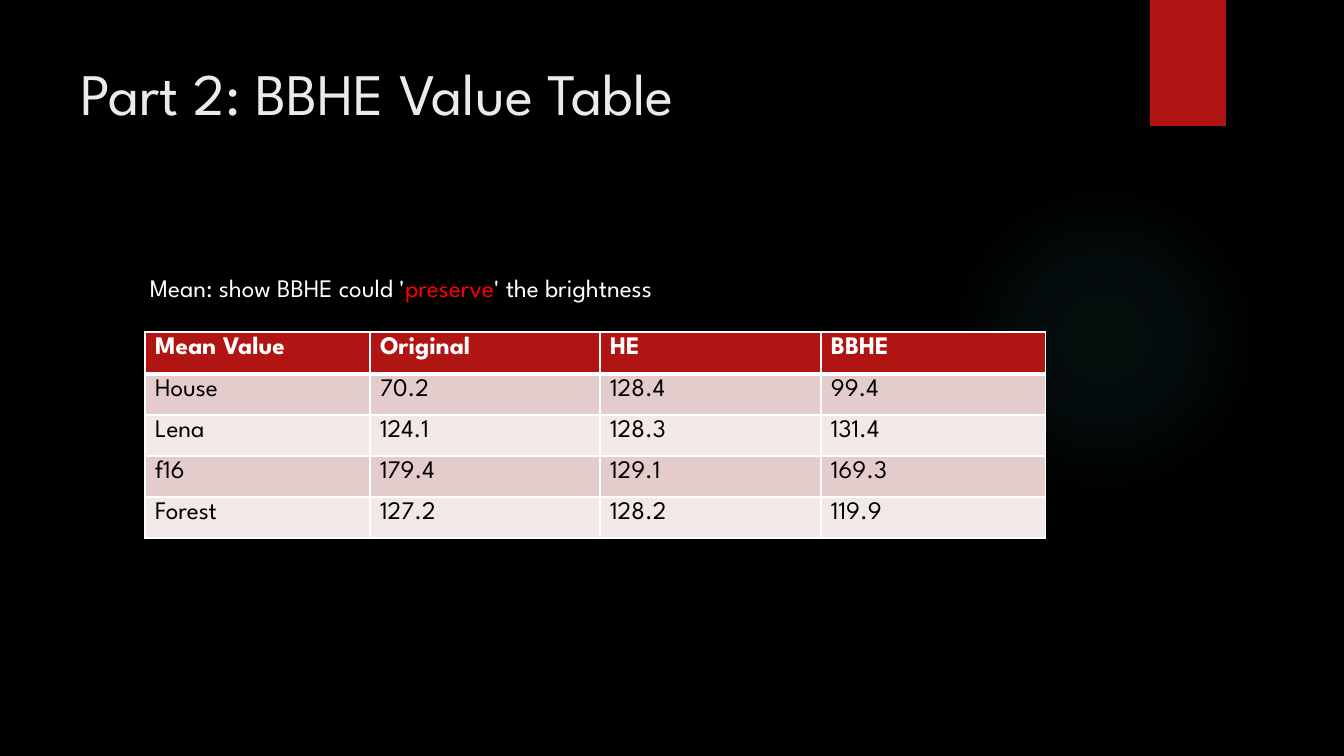
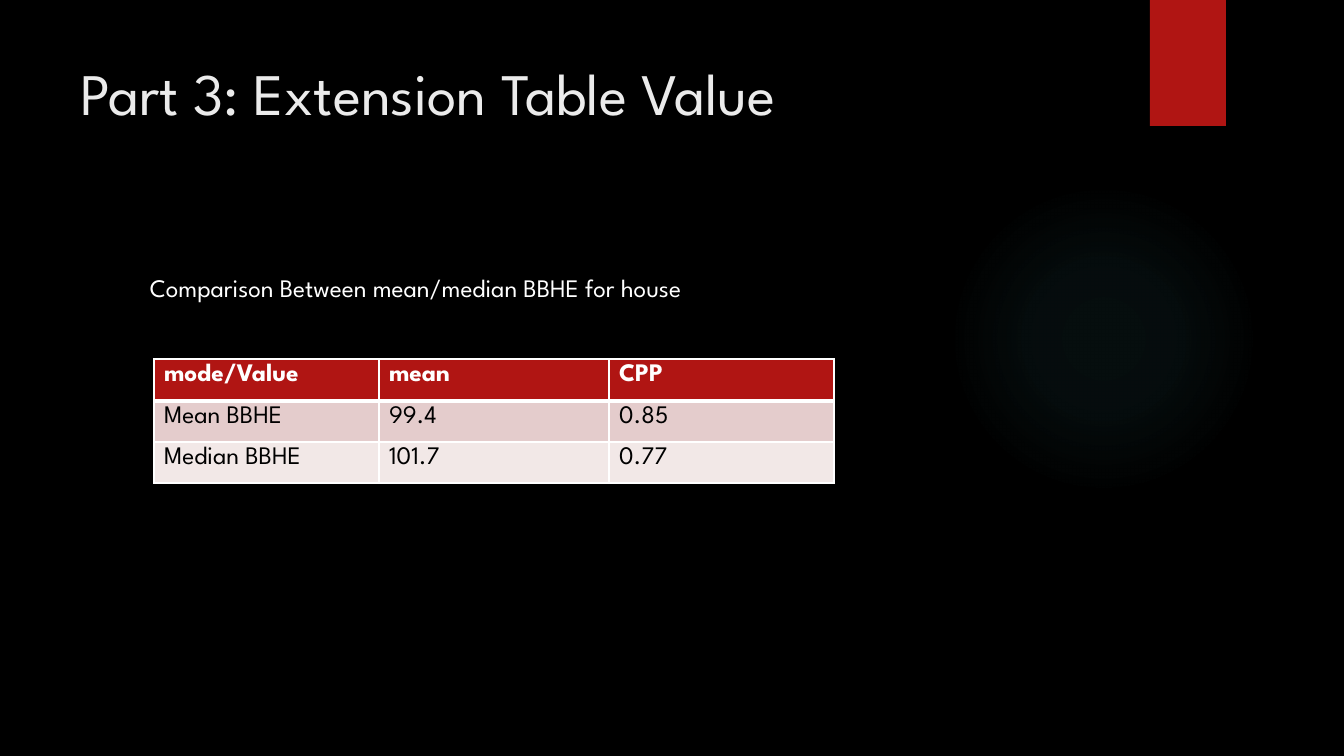
"""Builds two dark slides, each with a title, a caption and a table of values."""
from dataclasses import dataclass

from lxml.etree import SubElement
from pptx import Presentation
from pptx.dml.color import RGBColor
from pptx.enum.shapes import MSO_SHAPE as Shape
from pptx.enum.text import MSO_ANCHOR as Anchor, PP_ALIGN as Align
from pptx.oxml.ns import qn
from pptx.util import Emu, Pt

EMU_PER_INCH = 914400
PX_PER_INCH = 100.8
WIDTH, HEIGHT = 1344, 756
FONT = "League Spartan"
BLACK = RGBColor(0x00, 0x00, 0x00)
WHITE = RGBColor(0xFF, 0xFF, 0xFF)
PALE = RGBColor(0xEB, 0xEB, 0xEB)
BRICK = RGBColor(0xB0, 0x15, 0x13)
RED = RGBColor(0xFF, 0x00, 0x00)
TEAL = RGBColor(0x50, 0xB9, 0xC1)
ROW_FILLS = (RGBColor(0xF2, 0xE8, 0xE7), RGBColor(0xE4, 0xCC, 0xCC))
GLOW_STOPS = ((0, 7), (36, 6), (69, 0))
HEADER_HEIGHT, ROW_HEIGHT = 42, 41


@dataclass(frozen=True)
class TextPart:
    text: str
    color: RGBColor = WHITE


@dataclass(frozen=True)
class ValueTable:
    left: int
    top: int
    widths: tuple[int, ...]
    rows: tuple[tuple[str, ...], ...]


@dataclass(frozen=True)
class TableSlide:
    title: str
    caption: tuple[TextPart, ...]
    table: ValueTable


SLIDES = (
    TableSlide(
        "Part 2: BBHE Value Table",
        (
            TextPart("Mean: show BBHE could '"),
            TextPart("preserve", RED),
            TextPart("' the brightness"),
        ),
        ValueTable(145, 332, (225, 230, 221, 225), (
            ("Mean Value", "Original", "HE", "BBHE"),
            ("House", "70.2", "128.4", "99.4"),
            ("Lena", "124.1", "128.3", "131.4"),
            ("f16", "179.4", "129.1", "169.3"),
            ("Forest", "127.2", "128.2", "119.9"),
        )),
    ),
    TableSlide(
        "Part 3: Extension Table Value",
        (TextPart("Comparison Between mean/median BBHE for house"),),
        ValueTable(154, 359, (225, 230, 225), (
            ("mode/Value", "mean", "CPP"),
            ("Mean BBHE", "99.4", "0.85"),
            ("Median BBHE", "101.7", "0.77"),
        )),
    ),
)


def px(n: int) -> Emu:
    return Emu(round(n * EMU_PER_INCH / PX_PER_INCH))


def box(left: int, top: int, width: int, height: int) -> tuple[Emu, ...]:
    return px(left), px(top), px(width), px(height)


def add_text(p, text: str, *, size: int = 18, color: RGBColor = WHITE,
             bold: bool = False) -> None:
    r = p.add_run()
    r.text = text
    r.font.name = FONT
    r.font.size = Pt(size)
    r.font.bold = bold
    r.font.color.rgb = color


def add_plain_shape(s, kind: Shape, *bounds: int):
    sp = s.shapes.add_shape(kind, *box(*bounds))
    sp.shadow.inherit = False
    sp.line.fill.background()
    return sp


def add_glow(s) -> None:
    sp = add_plain_shape(s, Shape.OVAL, 949, 184, 310, 310)
    sp.fill.gradient()
    grad = sp.element.spPr.find(qn("a:gradFill"))
    for child in list(grad):
        grad.remove(child)
    stops = SubElement(grad, qn("a:gsLst"))
    for position, alpha in GLOW_STOPS:
        stop = SubElement(stops, qn("a:gs"), pos=str(position * 1000))
        color = SubElement(stop, qn("a:srgbClr"), val=str(TEAL))
        SubElement(color, qn("a:alpha"), val=str(alpha * 1000))
    circle = SubElement(grad, qn("a:path"), attrib={"path": "circle"})
    SubElement(circle, qn("a:fillToRect"), l="50000", t="50000", r="50000", b="50000")


def add_band(s) -> None:
    sp = add_plain_shape(s, Shape.RECTANGLE, 1150, 0, 76, 126)
    sp.fill.solid()
    sp.fill.fore_color.rgb = BRICK


def set_title(s, text: str) -> None:
    sp = s.shapes.title
    sp.left, sp.top, sp.width, sp.height = box(70, 50, 927, 82)
    tf = sp.text_frame
    tf.vertical_anchor = Anchor.BOTTOM
    p = tf.paragraphs[0]
    p.alignment = Align.LEFT
    add_text(p, text, size=42, color=PALE)


def add_caption(s, parts: tuple[TextPart, ...]) -> None:
    tf = s.shapes.add_textbox(*box(140, 268, 674, 40)).text_frame
    tf.word_wrap = True
    tf.vertical_anchor = Anchor.BOTTOM
    for part in parts:
        add_text(tf.paragraphs[0], part.text, color=part.color)


def set_borders(cell, row: int) -> None:
    widths = {
        "L": 1,
        "R": 1,
        "T": 3 if row == 1 else 1,
        "B": 3 if row == 0 else 1,
    }
    props = cell._tc.get_or_add_tcPr()
    for side, width in widths.items():
        line = SubElement(props, qn(f"a:ln{side}"), w=str(Pt(width)))
        fill = SubElement(line, qn("a:solidFill"))
        SubElement(fill, qn("a:srgbClr"), val=str(WHITE))


def add_value_table(s, spec: ValueTable) -> None:
    heights = [HEADER_HEIGHT] + [ROW_HEIGHT] * (len(spec.rows) - 1)
    bounds = box(spec.left, spec.top, sum(spec.widths), sum(heights))
    table = s.shapes.add_table(len(heights), len(spec.widths), *bounds).table
    for column, width in zip(table.columns, spec.widths):
        column.width = px(width)
    for i, (values, height) in enumerate(zip(spec.rows, heights)):
        table.rows[i].height = px(height)
        header = i == 0
        for j, value in enumerate(values):
            cell = table.cell(i, j)
            set_borders(cell, i)
            cell.fill.solid()
            cell.fill.fore_color.rgb = BRICK if header else ROW_FILLS[i % 2]
            add_text(cell.text_frame.paragraphs[0], value,
                     color=WHITE if header else BLACK, bold=header)


def main() -> None:
    prs = Presentation()
    prs.slide_width, prs.slide_height = px(WIDTH), px(HEIGHT)
    background = prs.slide_master.background.fill
    background.solid()
    background.fore_color.rgb = BLACK
    for content in SLIDES:
        s = prs.slides.add_slide(prs.slide_layouts[5])
        add_glow(s)
        add_band(s)
        set_title(s, content.title)
        add_caption(s, content.caption)
        add_value_table(s, content.table)
    prs.save("out.pptx")


if __name__ == "__main__":
    main()
